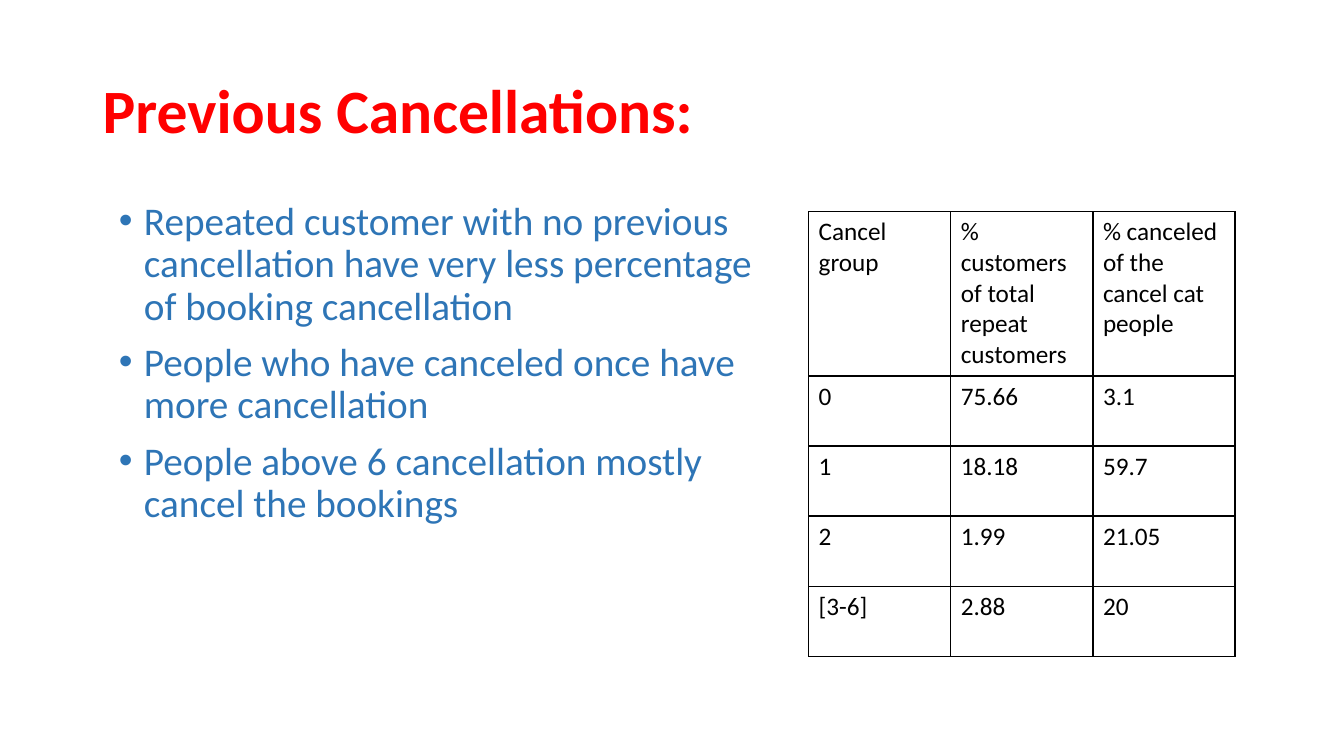
import dataclasses

import pptx
import pptx.dml.color
import pptx.enum.text
import pptx.oxml
import pptx.oxml.ns
import pptx.util


@dataclasses.dataclass(frozen=True)
class Theme:
    font: str = "Calibri"
    red: str = "FF0000"
    blue: str = "2E75B6"
    black: str = "000000"
    title: int = 44
    body: int = 28
    cell: int = 18


THEME = Theme()
INCH = pptx.util.Inches

POINTS = [
    "Repeated customer with no previous cancellation have very less "
    "percentage of booking cancellation",
    "People who have canceled once have more cancellation",
    "People above 6 cancellation mostly cancel the bookings",
]
GROUPS = [
    ["Cancel group", "% customers of total repeat customers",
     "% canceled of the cancel cat people"],
    ["0", "75.66", "3.1"],
    ["1", "18.18", "59.7"],
    ["2", "1.99", "21.05"],
    ["[3-6]", "2.88", "20"],
]


def add_xml(parent, xml):
    names = pptx.oxml.ns.nsdecls("a")
    parent.append(pptx.oxml.parse_xml(xml.replace("NS", names, 1)))


def add_run(para, text, size, color, bold=False):
    run = para.add_run()
    run.text = text
    run.font.name = THEME.font
    run.font.size = pptx.util.Pt(size)
    run.font.bold = bold
    run.font.color.rgb = pptx.dml.color.RGBColor.from_string(color)


def add_frame(slide, box):
    frame = slide.shapes.add_textbox(*map(INCH, box)).text_frame
    frame.word_wrap = True
    return frame


def add_title(slide, box, text):
    frame = add_frame(slide, box)
    frame.vertical_anchor = pptx.enum.text.MSO_ANCHOR.MIDDLE
    para = frame.paragraphs[0]
    para.line_spacing = 0.9
    add_run(para, text, THEME.title, THEME.red, bold=True)


def add_list(slide, box, points):
    frame = add_frame(slide, box)
    for i, text in enumerate(points):
        para = frame.add_paragraph() if i else frame.paragraphs[0]
        para.line_spacing = 0.9
        para.space_before = pptx.util.Pt(10)
        # Hanging bullet
        props = para._p.get_or_add_pPr()
        props.set("marL", str(INCH(0.25)))
        props.set("indent", str(-INCH(0.25)))
        add_xml(props, '<a:buFont NS typeface="Arial"/>')
        add_xml(props, '<a:buChar NS char="•"/>')
        add_run(para, text, THEME.body, THEME.blue)


def add_border(cell):
    props = cell._tc.get_or_add_tcPr()
    for side in ("lnL", "lnR", "lnT", "lnB"):
        add_xml(props, f'<a:{side} NS w="{pptx.util.Pt(1)}"><a:solidFill>'
                       f'<a:srgbClr val="{THEME.black}"/></a:solidFill></a:{side}>')


def add_grid(slide, box, rows, head):
    left, top, width, height = map(INCH, box)
    grid = slide.shapes.add_table(
        len(rows), len(rows[0]), left, top, width, height).table
    grid.first_row = grid.horz_banding = False
    # Tall head row, equal rows below
    low = (height - INCH(head)) // (len(rows) - 1)
    for r, row in enumerate(rows):
        grid.rows[r].height = low if r else INCH(head)
        for c, text in enumerate(row):
            cell = grid.cell(r, c)
            add_border(cell)
            cell.fill.background()
            add_run(cell.text_frame.paragraphs[0], text, THEME.cell, THEME.black)


def main():
    deck = pptx.Presentation()
    deck.slide_width, deck.slide_height = INCH(13.33), INCH(7.5)
    slide = deck.slides.add_slide(deck.slide_layouts[6])
    add_title(slide, (0.92, 0.4, 11.5, 1.45), "Previous Cancellations:")
    add_list(slide, (1.08, 1.95, 6.54, 4.76), POINTS)
    add_grid(slide, (8.02, 2.1, 4.23, 4.41), GROUPS, head=1.63)
    deck.save("out.pptx")


if __name__ == "__main__":
    main()
